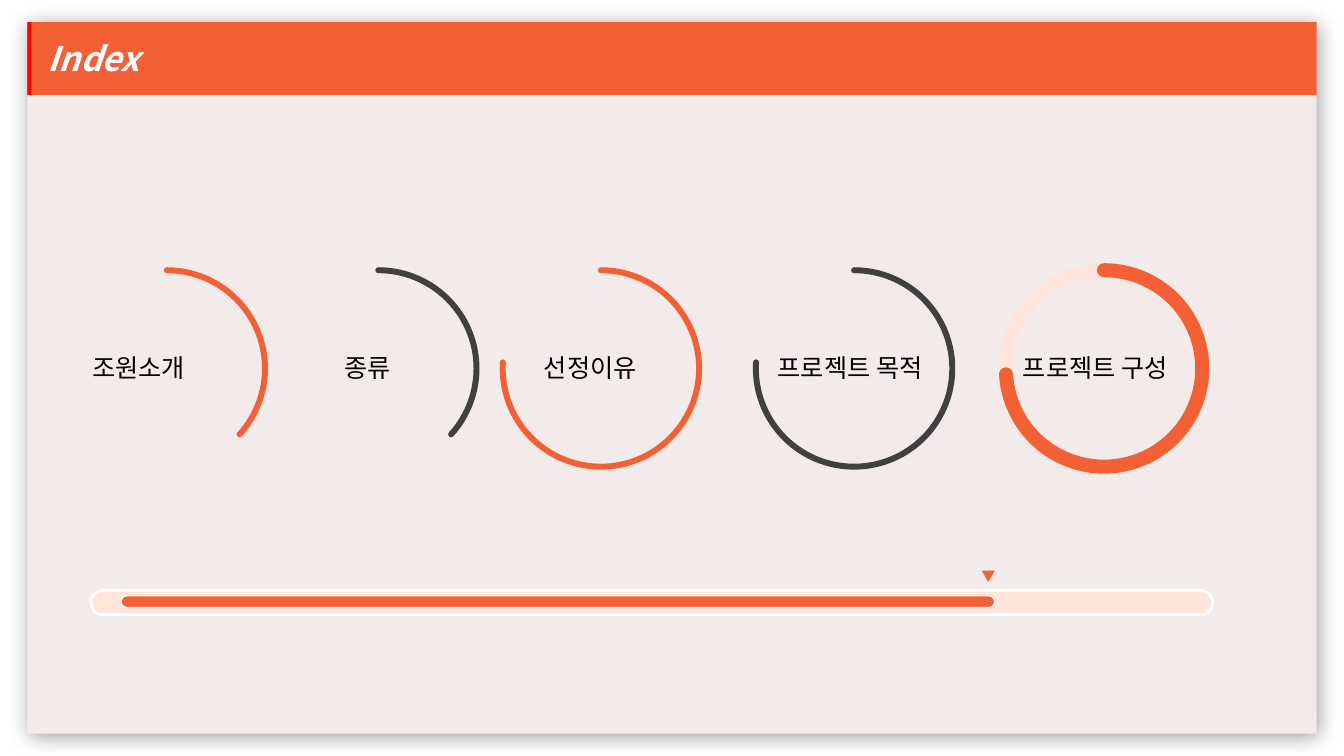
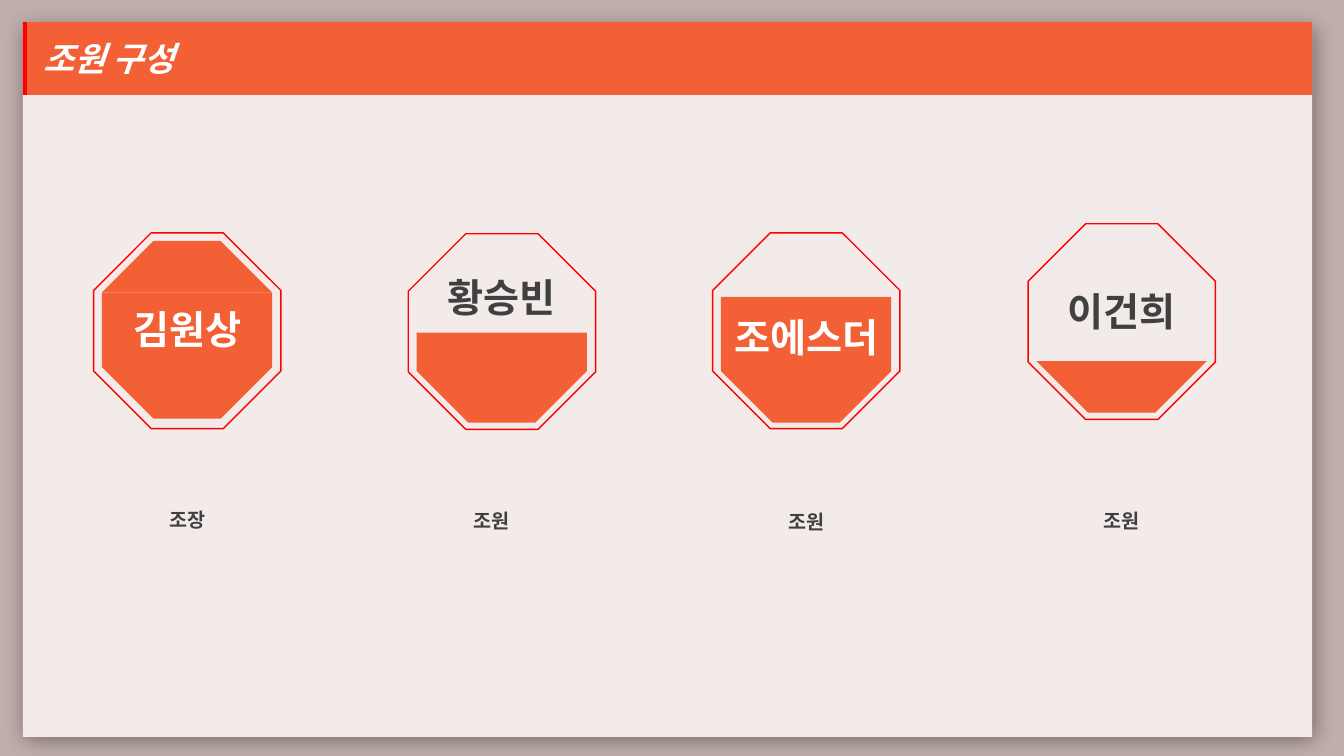
from lxml import etree
from pptx import Presentation
from pptx import util as u
from pptx.dml.color import RGBColor
from pptx.enum import shapes, text
from pptx.oxml import ns

Cm = u.Cm
Shape = shapes.MSO_SHAPE
Align = text.PP_ALIGN

ORANGE = RGBColor(0xF3, 0x60, 0x35)
PEACH = RGBColor(0xFF, 0xE4, 0xD9)
RED = RGBColor(0xFF, 0x00, 0x00)
PAPER = RGBColor(0xF2, 0xEB, 0xEA)
MAUVE = RGBColor(0xC0, 0xAE, 0xAC)
DARK = RGBColor(0x40, 0x40, 0x40)
BLACK = RGBColor(0x00, 0x00, 0x00)
WHITE = RGBColor(0xFF, 0xFF, 0xFF)

FONT = "Noto Sans CJK KR"
CARD_WIDTH, CARD_HEIGHT = 32.49, 17.93
BAND_TOP, BAND_HEIGHT = 0.56, 1.83
RING_TOP, RING_SIZE = 6.81, 4.95
ARC_START = 162  # 270 degrees, in units of 100000/60000 degree
BADGE_WIDTH, BADGE_HEIGHT = 4.72, 4.93
FILL_INSET, FILL_WIDTH, SLOPE_HEIGHT = 0.21, 4.29, 1.3


def write(frame, words, size=18, color=BLACK, bold=False, italic=False,
          align=Align.LEFT, spacing=None):
    para = frame.paragraphs[0]
    para.alignment = align
    if spacing:
        para.line_spacing = spacing
    span = para.add_run()
    span.text = words
    font = span.font
    font.size, font.bold, font.italic = u.Pt(size), bold, italic
    font.color.rgb = color
    font.name = FONT
    east_asian = etree.SubElement(span._r.get_or_add_rPr(), ns.qn("a:ea"))
    east_asian.set("typeface", FONT)


class Deck:
    """The shared style, and the slide being drawn; lengths are in centimetres."""

    def __init__(self):
        self.file = Presentation()
        self.file.slide_width, self.file.slide_height = Cm(33.87), Cm(19.05)
        self.page = None

    def start(self, title, background, left, card_top):
        """Add a slide with its card, title band and red stripe."""
        self.page = self.file.slides.add_slide(self.file.slide_layouts[5])
        fill = self.page.background.fill
        fill.solid()
        fill.fore_color.rgb = background
        self.shadow(self.shape(Shape.RECTANGLE, left, card_top,
                               CARD_WIDTH, CARD_HEIGHT, PAPER))
        self.title(title, left)
        self.shape(Shape.RECTANGLE, left, BAND_TOP, 0.1, BAND_HEIGHT, RED)

    def title(self, words, left):
        band = self.page.shapes.title
        band.element.getparent().append(band.element)  # in front of the card
        band.left, band.top = Cm(left), Cm(BAND_TOP)
        band.width, band.height = Cm(CARD_WIDTH), Cm(BAND_HEIGHT)
        band.fill.solid()
        band.fill.fore_color.rgb = ORANGE
        frame = band.text_frame
        frame.auto_size = text.MSO_AUTO_SIZE.NONE
        frame.vertical_anchor = text.MSO_ANCHOR.MIDDLE
        frame.margin_left = Cm(0.51)
        write(frame, words, size=24, color=WHITE, bold=True, italic=True)

    def shape(self, kind, left, top, width, height, fill=None, line=None,
              weight=1, adjust=(), rotation=0):
        shape = self.page.shapes.add_shape(
            kind, Cm(left), Cm(top), Cm(width), Cm(height))
        shape.shadow.inherit = False
        shape.rotation = rotation
        for index, value in enumerate(adjust):
            shape.adjustments[index] = value
        if fill is None:
            shape.fill.background()
        else:
            shape.fill.solid()
            shape.fill.fore_color.rgb = fill
        if line is None:
            shape.line.fill.background()
        else:
            shape.line.color.rgb = line
            shape.line.width = u.Pt(weight)
        return shape

    def shadow(self, shape):
        effects = shape.element.spPr.find(ns.qn("a:effectLst"))
        outer = etree.SubElement(
            effects, ns.qn("a:outerShdw"), blurRad=str(u.Pt(15)),
            dist=str(u.Pt(3)), dir="2700000", algn="tl", rotWithShape="0")
        color = etree.SubElement(outer, ns.qn("a:srgbClr"), val="000000")
        etree.SubElement(color, ns.qn("a:alpha"), val="40000")

    def label(self, words, left, top, width, height, **style):
        box = self.page.shapes.add_textbox(
            Cm(left), Cm(top), Cm(width), Cm(height))
        frame = box.text_frame
        frame.word_wrap = True
        frame.auto_size = text.MSO_AUTO_SIZE.SHAPE_TO_FIT_TEXT
        write(frame, words, **style)

    def arc(self, left, end, color, weight):
        """Draw a round-capped arc clockwise from twelve o'clock."""
        arc = self.shape(Shape.ARC, left, RING_TOP, RING_SIZE, RING_SIZE,
                         line=color, weight=weight, adjust=(ARC_START, end))
        arc.element.spPr.find(ns.qn("a:ln")).set("cap", "rnd")

    def pill(self, left, top, width, height, fill, weight):
        self.shape(Shape.ROUNDED_RECTANGLE, left, top, width, height, fill,
                   WHITE, weight, adjust=(0.5,))

    def slope(self, left, top, rotation=0):
        self.shape(Shape.TRAPEZOID, left, top, FILL_WIDTH, SLOPE_HEIGHT,
                   ORANGE, adjust=(1.0,), rotation=rotation)

    def badge(self, name, left, top, name_top, color, base, level, full):
        """Draw an octagon filled to a level above its lower slope."""
        self.shape(Shape.OCTAGON, left, top, BADGE_WIDTH, BADGE_HEIGHT,
                   line=RED, adjust=(0.307,))
        inner = left + FILL_INSET
        if level:
            self.shape(Shape.RECTANGLE, inner, base - level,
                       FILL_WIDTH, level, ORANGE)
        self.slope(inner, base, rotation=180)
        if full:
            self.slope(inner, base - level - SLOPE_HEIGHT)
        self.label(name, left, name_top, BADGE_WIDTH, 1.45, size=28,
                   color=color, bold=True, align=Align.CENTER)


def index_slide(deck):
    deck.start("Index", WHITE, left=0.69, card_top=0.56)
    deck.shape(Shape.OVAL, 25.35, RING_TOP, RING_SIZE, RING_SIZE,
               line=PEACH, weight=10)
    # topic, ring left, arc end, colour, weight, label left, width, alignment
    topics = (
        ("조원소개", 1.73, 25.31, ORANGE, 4.25, 2.08, 3.1, Align.LEFT),
        ("종류", 7.06, 25.31, DARK, 4.25, 7.72, 3.1, Align.CENTER),
        ("선정이유", 12.67, 110.14, ORANGE, 4.25, 13.46, 3.86, Align.LEFT),
        ("프로젝트 목적", 19.05, 110.14, DARK, 4.25, 19.35, 4.83, Align.LEFT),
        ("프로젝트 구성", 25.35, 105.91, ORANGE, 10, 25.53, 4.83, Align.LEFT),
    )
    for topic, left, end, color, weight, label_left, width, align in topics:
        deck.arc(left, end, color, weight)
        deck.label(topic, label_left, 8.76, width, 1.02, align=align)
    deck.pill(2.29, 14.88, 28.27, 0.61, PEACH, 2)
    deck.pill(3.05, 15.01, 22.02, 0.3, ORANGE, 1)
    deck.shape(Shape.ISOSCELES_TRIANGLE, 24.74, 14.38, 0.33, 0.28, ORANGE,
               rotation=180)


def team_slide(deck):
    deck.start("조원 구성", MAUVE, left=0.58, card_top=0.64)
    # name, left, top, name top, colour, slope top, fill level, full,
    # role, role left, role top
    members = (
        ("김원상", 2.36, 5.87, 7.57, WHITE, 9.25, 1.88, True,
         "조장", 1.65, 12.37),
        ("황승빈", 10.29, 5.89, 6.76, DARK, 9.35, 0.97, False,
         "조원", 9.3, 12.4),
        ("조에스더", 17.96, 5.87, 7.77, WHITE, 9.35, 1.87, False,
         "조원", 17.25, 12.42),
        ("이건희", 25.91, 5.64, 7.11, DARK, 9.1, 0, False,
         "조원", 25.17, 12.4),
    )
    for *badge, role, role_left, role_top in members:
        deck.badge(*badge)
        deck.label(role, role_left, role_top, 6.17, 1.04, size=14, color=DARK,
                   bold=True, align=Align.CENTER, spacing=1.5)


def main():
    deck = Deck()
    index_slide(deck)
    team_slide(deck)
    deck.file.save("out.pptx")


if __name__ == "__main__":
    main()
